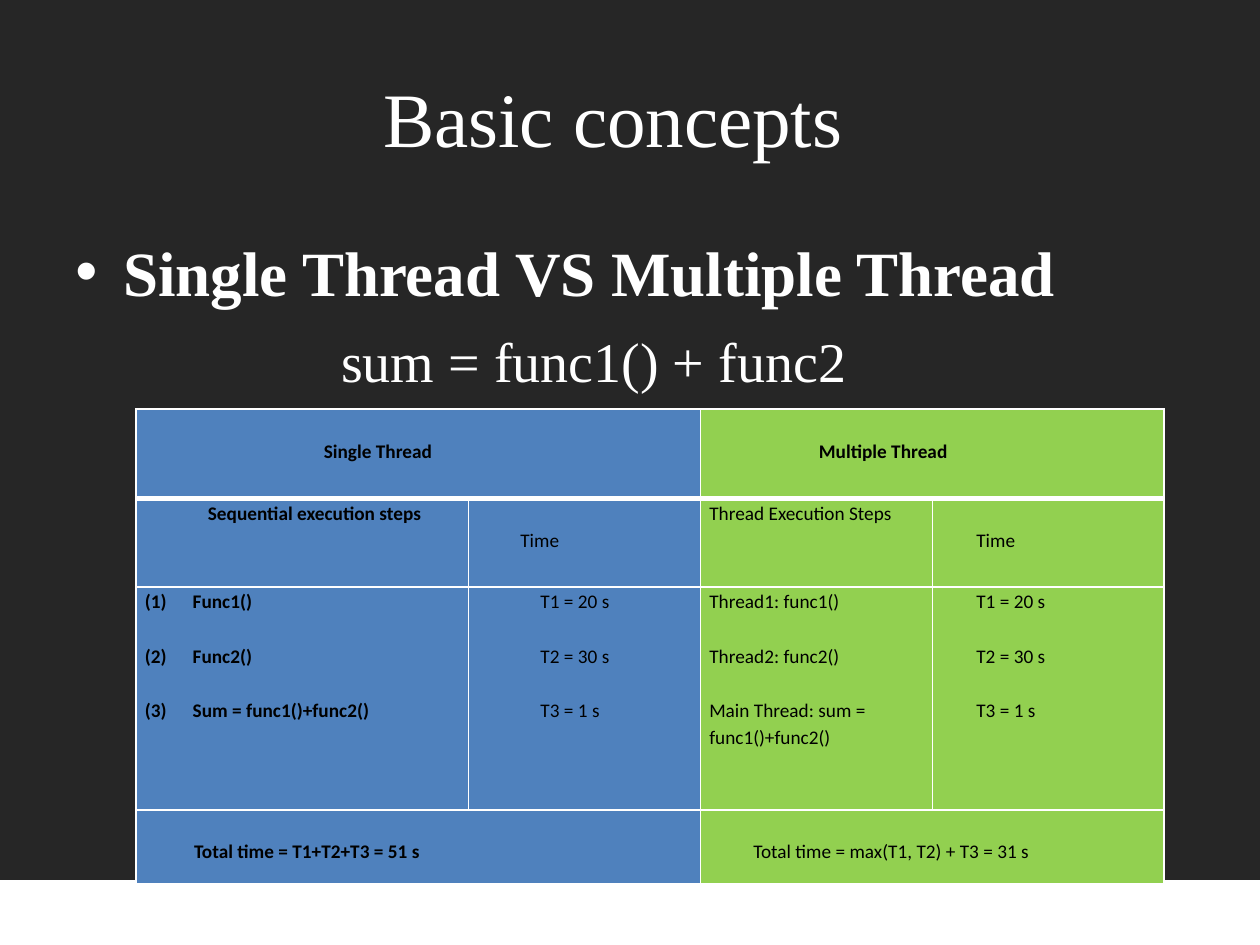
from dataclasses import dataclass

from lxml import etree
from pptx import Presentation
from pptx import util as u
from pptx.dml.color import RGBColor
from pptx.enum import shapes, text
from pptx.oxml.ns import qn


@dataclass(frozen=True)
class Theme:
    """Colours, fonts and type sizes of the deck."""
    back: str = "262626"
    light: str = "FFFFFF"
    dark: str = "000000"
    single: str = "4F81BD"
    multiple: str = "92D050"
    display: str = "Times New Roman"
    table: str = "Calibri"
    title_size: float = 44
    heading_size: float = 36
    formula_size: float = 32
    cell_size: float = 11
    cell_line: float = 15.5


THEME = Theme()
SINGLE, MULTIPLE = THEME.single, THEME.multiple
COLUMNS = (2.64, 1.84, 1.84, 1.84)
ROWS = (0.71, 0.7, 1.77, 0.59)


def write(para, content, *, font=THEME.table, size=THEME.cell_size, color=THEME.dark,
          bold=False, left=0, hang=0, before=0, spacing=1.0, bullet=None):
    """Fill a paragraph with one formatted span."""
    para.alignment = text.PP_ALIGN.LEFT
    para.line_spacing = spacing
    para.space_before = u.Pt(before)
    props = para._p.get_or_add_pPr()
    props.set("marL", str(u.Inches(left)))
    props.set("indent", str(u.Inches(-hang)))
    if bullet == "number":
        etree.SubElement(props, qn("a:buAutoNum"), type="arabicParenBoth")
    elif bullet:
        etree.SubElement(props, qn("a:buFont"), typeface="Arial")
        etree.SubElement(props, qn("a:buChar"), char=bullet)
    else:
        etree.SubElement(props, qn("a:buNone"))
    span = para.add_run()
    span.text = content
    span.font.name, span.font.size, span.font.bold = font, u.Pt(size), bold
    span.font.color.rgb = RGBColor.from_string(color)


class Painter:
    """Holds the theme and the current slide, and places elements by shares of its size."""

    def __init__(self, deck, theme):
        """Start a title-only page with the theme's background."""
        self.deck, self.theme = deck, theme
        self.page = deck.slides.add_slide(deck.slide_layouts[5])
        self.page.background.fill.solid()
        self.page.background.fill.fore_color.rgb = RGBColor.from_string(theme.back)

    def area(self, left, top, width, height):
        """Turn shares of the slide into lengths."""
        wide, high = self.deck.slide_width, self.deck.slide_height
        return round(left * wide), round(top * high), round(width * wide), round(height * high)

    def band(self, *shares):
        """Add a plain light band."""
        box = self.page.shapes.add_shape(shapes.MSO_SHAPE.RECTANGLE, *self.area(*shares))
        box.shadow.inherit = False
        box.fill.solid()
        box.fill.fore_color.rgb = box.line.color.rgb = RGBColor.from_string(self.theme.light)
        box.line.width = u.Pt(2)

    def title(self, content, *shares, left):
        """Move and format the title placeholder."""
        box = self.page.shapes.title
        box.left, box.top, box.width, box.height = self.area(*shares)
        box.text_frame.vertical_anchor = text.MSO_ANCHOR.MIDDLE
        write(box.text_frame.paragraphs[0], content, font=self.theme.display,
              size=self.theme.title_size, color=self.theme.light, left=left)

    def body(self, lines, *shares):
        """Add a text box with one paragraph per line."""
        frame = self.page.shapes.add_textbox(*self.area(*shares)).text_frame
        frame.word_wrap = True
        for index, (content, style) in enumerate(lines):
            para = frame.add_paragraph() if index else frame.paragraphs[0]
            write(para, content, font=self.theme.display, color=self.theme.light, **style)

    def table(self, left, top):
        """Add an empty table on the column and row grid."""
        area = self.area(left, top, sum(COLUMNS) / 10, sum(ROWS) / 7.5)
        grid = self.page.shapes.add_table(len(ROWS), len(COLUMNS), *area).table
        grid.first_row = grid.horz_banding = False
        for column, width in zip(grid.columns, COLUMNS):
            column.width = u.Inches(width)
        for row, height in zip(grid.rows, ROWS):
            row.height = u.Inches(height)
        for row in range(len(ROWS)):
            for column in range(len(COLUMNS)):
                cell = grid.cell(row, column)
                self.border(cell, top=3 if row == 1 else 1, bottom=3 if row == 0 else 1)
                cell.fill.solid()
                cell.fill.fore_color.rgb = RGBColor.from_string(SINGLE if column < 2 else MULTIPLE)
        return grid

    def border(self, cell, top, bottom):
        """Draw the four sides of a cell."""
        props = cell._tc.get_or_add_tcPr()
        for side, width in (("L", 1), ("R", 1), ("T", top), ("B", bottom)):
            line = etree.SubElement(props, qn(f"a:ln{side}"), w=str(u.Pt(width)))
            fill = etree.SubElement(line, qn("a:solidFill"))
            etree.SubElement(fill, qn("a:srgbClr"), val=self.theme.light)

    def cell(self, cell, lines, drop=0, gap=0, **style):
        """Write lines into a cell, dropped and spaced by whole text lines."""
        cell.margin_left = cell.margin_right = u.Inches(0.07)
        cell.margin_top, cell.margin_bottom = u.Pt(drop * self.theme.cell_line), 0
        for index, content in enumerate(lines):
            para = cell.text_frame.add_paragraph() if index else cell.text_frame.paragraphs[0]
            write(para, content, spacing=1.15,
                  before=gap * self.theme.cell_line if index else 0, **style)


def main():
    """Build the slide and save it."""
    deck = Presentation()
    deck.slide_width, deck.slide_height = u.Inches(10), u.Inches(7.5)
    painter = Painter(deck, THEME)
    painter.band(0, 14 / 15, 1, 1 / 15)
    painter.title("Basic concepts", 0.05, 0.04, 0.9, 1 / 6, left=2.44)
    painter.body([
        ("Single Thread VS Multiple Thread",
         dict(size=THEME.heading_size, bold=True, left=0.38, hang=0.38, bullet="•")),
        ("sum = func1() + func2", dict(size=THEME.formula_size, left=2.11, before=10)),
    ], 0.05, 0.24, 0.9, 0.18)

    grid = painter.table(0.108, 0.433)
    for row in (0, 3):
        for column in (0, 2):
            grid.cell(row, column).merge(grid.cell(row, column + 1))
    steps = dict(gap=1)
    cells = {
        (0, 0): (["Single Thread"], dict(drop=1, left=1.42, bold=True)),
        (0, 2): (["Multiple Thread"], dict(drop=1, left=0.87, bold=True)),
        (1, 0): (["Sequential execution steps"], dict(left=0.5, bold=True)),
        (1, 1): (["Time"], dict(drop=1, left=0.34)),
        (1, 2): (["Thread Execution Steps"], {}),
        (1, 3): (["Time"], dict(drop=1, left=0.28)),
        (2, 0): (["Func1()", "Func2()", "Sum = func1()+func2()"],
                 dict(steps, left=0.38, hang=0.38, bold=True, bullet="number")),
        (2, 1): (["T1 = 20 s", "T2 = 30 s", "T3 = 1 s"], dict(steps, left=0.5)),
        (2, 2): (["Thread1: func1()", "Thread2: func2()", "Main Thread: sum = func1()+func2()"],
                 steps),
        (2, 3): (["T1 = 20 s", "T2 = 30 s", "T3 = 1 s"], dict(steps, left=0.28)),
        (3, 0): (["Total time = T1+T2+T3 = 51 s"], dict(drop=1, left=0.39, bold=True)),
        (3, 2): (["Total time = max(T1, T2) + T3 = 31 s"], dict(drop=1, left=0.35)),
    }
    for (row, column), (lines, style) in cells.items():
        painter.cell(grid.cell(row, column), lines, **style)
    deck.save("out.pptx")


if __name__ == "__main__":
    main()
